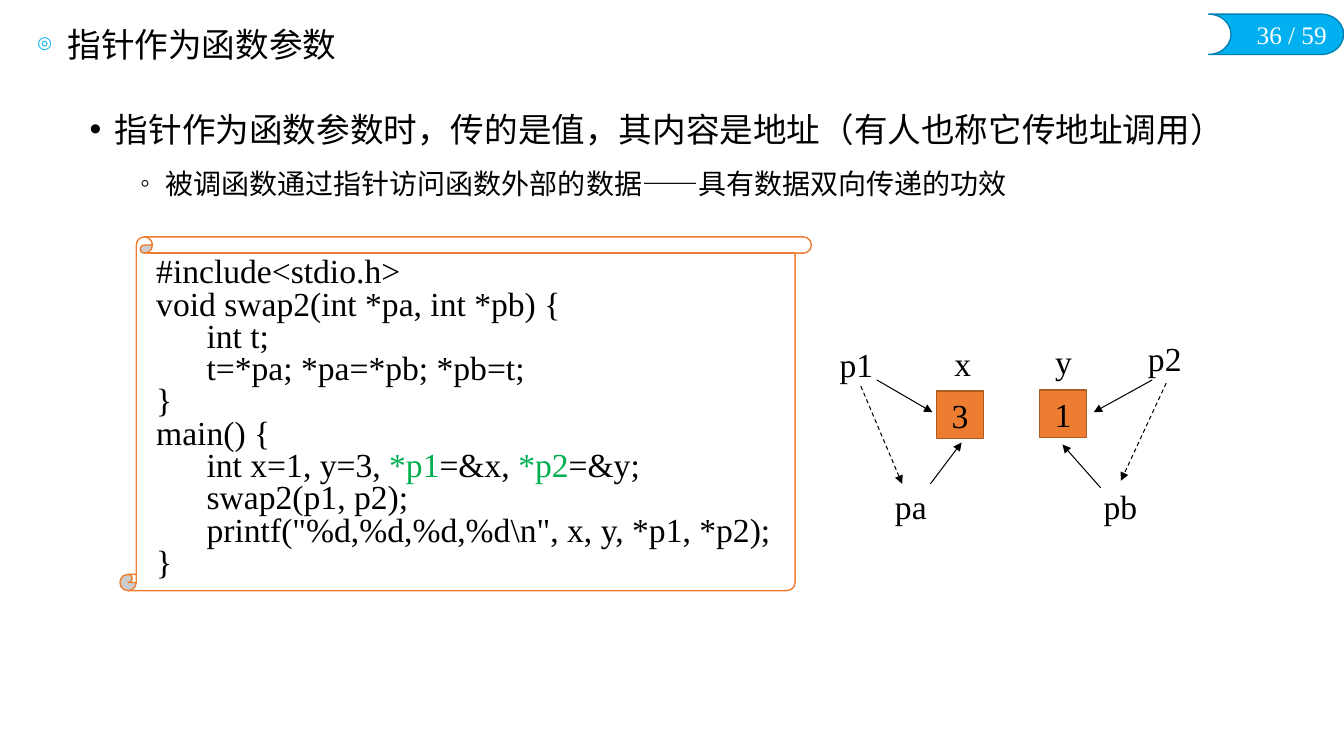
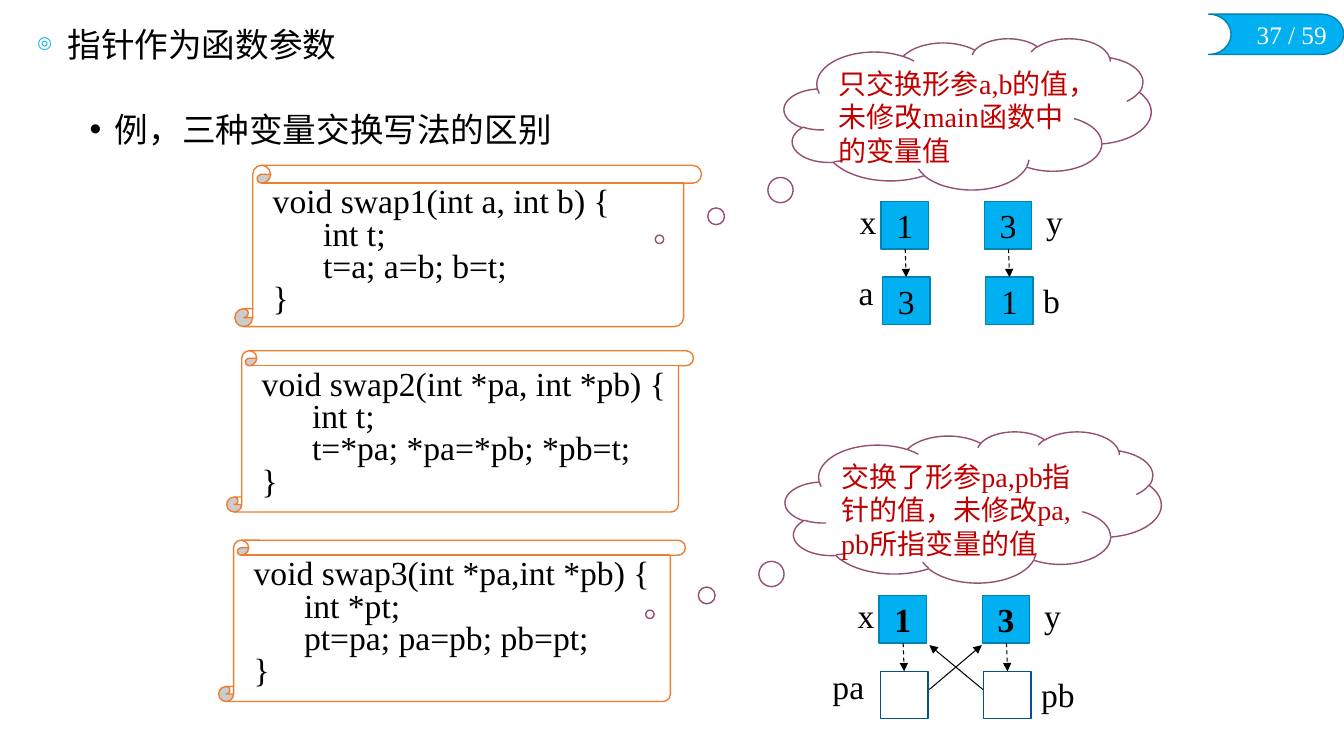
"""Build two slides on pointers as function arguments in C."""
import lxml.etree
import pptx
import pptx.dml.color
import pptx.enum.dml
import pptx.enum.shapes
import pptx.enum.text
import pptx.oxml.ns
import pptx.util

HUES = {
    "ink": "000000", "paper": "FFFFFF", "sky": "00B0F0", "sea": "0082B2",
    "navy": "00538E", "amber": "ED7D31", "rust": "AF5C24", "green": "00B050",
    "plum": "954F72", "red": "C00000",
}
FONT = "Times New Roman"
TITLE = "指针作为函数参数"
TOTAL = 59
SIDE = 4.7
FORMS = pptx.enum.shapes.MSO_SHAPE
ALIGN = pptx.enum.text.PP_ALIGN
ANCHOR = pptx.enum.text.MSO_ANCHOR
FIT = pptx.enum.text.MSO_AUTO_SIZE


def hue(name):
    """Return the colour that a name stands for."""
    return pptx.dml.color.RGBColor.from_string(HUES[name])


def grid(*cells):
    """Turn columns and rows of a tenth of an inch into lengths."""
    return [pptx.util.Inches(cell / 10) for cell in cells]


def add(node, tag, **attrs):
    """Append a drawing element to a node."""
    return lxml.etree.SubElement(node, pptx.oxml.ns.qn(tag), attrs)


def write(para, text, size=24, color="ink", accent="green", bold=None,
          align=ALIGN.LEFT, lead=None, before=0, after=0, level=0,
          margin=0, hang=0, mark=None, tint=None, scale=None, tab=None):
    """Write text in a paragraph, with every second part of a tuple accented."""
    props = para._p.get_or_add_pPr()
    left, first = grid(margin, -hang)
    props.set("marL", str(left))
    props.set("indent", str(first))
    if tint:
        add(add(props, "a:buClr"), "a:srgbClr", val=HUES[tint])
    if scale:
        add(props, "a:buSzPct", val=str(scale * 1000))
    if mark:
        add(props, "a:buChar", char=mark)
    if tab:
        add(add(props, "a:tabLst"), "a:tab", pos=str(grid(tab)[0]), algn="l")
    para.level = level
    para.alignment = align
    para.space_before = pptx.util.Pt(before)
    para.space_after = pptx.util.Pt(after)
    if lead:
        para.line_spacing = lead
    parts = text if isinstance(text, tuple) else (text,)
    for spot, part in enumerate(parts):
        run = para.add_run()
        run.text = part
        run.font.name = FONT
        run.font.size = pptx.util.Pt(size)
        run.font.bold = bold
        run.font.color.rgb = hue(accent if spot % 2 else color)


def place(shape, *cells):
    """Move and size a shape on the grid."""
    shape.left, shape.top, shape.width, shape.height = grid(*cells)


def draw(slide, form, cells, fill, edge):
    """Draw a filled, outlined preset shape."""
    shape = slide.shapes.add_shape(form, *grid(*cells))
    shape.shadow.inherit = False
    shape.fill.solid()
    shape.fill.fore_color.rgb = hue(fill)
    shape.line.color.rgb = hue(edge)
    shape.line.width = pptx.util.Pt(1)
    return shape


def label(slide, text, left, top, width=None, height=5, **style):
    """Put a short text on one line, in a box as wide as its letters need."""
    width = width or 1.9 + 1.8 * len(text)
    frame = slide.shapes.add_textbox(*grid(left, top, width, height)).text_frame
    frame.word_wrap = False
    frame.auto_size = FIT.SHAPE_TO_FIT_TEXT
    write(frame.paragraphs[0], text, **style)


def box(slide, text, left, top, fill="sky", edge="sea", bold=None):
    """Draw a memory cell with its value."""
    shape = draw(slide, FORMS.RECTANGLE, (left, top, SIDE, SIDE), fill, edge)
    if text:
        frame = shape.text_frame
        frame.word_wrap = False
        frame.vertical_anchor = ANCHOR.MIDDLE
        write(frame.paragraphs[0], text, bold=bold, align=ALIGN.CENTER)


def arrow(slide, start, end, dash=False):
    """Draw a thin arrow, dashed on request."""
    kind = pptx.enum.shapes.MSO_CONNECTOR.STRAIGHT
    line = slide.shapes.add_connector(kind, *grid(*start, *end))
    line.line.color.rgb = hue("ink")
    line.line.width = pptx.util.Pt(0.75)
    if dash:
        line.line.dash_style = pptx.enum.dml.MSO_LINE.DASH
    props = line.element.spPr
    add(props.find(pptx.oxml.ns.qn("a:ln")), "a:tailEnd", type="triangle")
    add(props, "a:effectLst")


def scroll(slide, cells, curl, lines):
    """Draw a scroll that holds code."""
    shape = draw(slide, FORMS.VERTICAL_SCROLL, cells, "paper", "amber")
    shape.adjustments[0] = curl
    frame = shape.text_frame
    frame.word_wrap = True
    frame.vertical_anchor = ANCHOR.TOP
    for spot, line in enumerate(lines):
        para = frame.add_paragraph() if spot else frame.paragraphs[0]
        write(para, line, lead=0.8, level=1, margin=1, tab=4.9)


def cloud(slide, cells, tail, text):
    """Draw a thought cloud with a remark."""
    shape = draw(slide, FORMS.CLOUD_CALLOUT, cells, "paper", "plum")
    for spot, share in enumerate(tail):
        shape.adjustments[spot] = share
    frame = shape.text_frame
    frame.word_wrap = True
    frame.vertical_anchor = ANCHOR.TOP
    frame.margin_left, frame.margin_right = grid(0.4, 0.4)
    write(frame.paragraphs[0], text, size=20, color="red")


def swap(slide, left, top, names, shift, low, bold=None):
    """Draw x and y above the two parameters that stand for them."""
    fill, edge, values = low
    right = left + 10.25
    label(slide, "x", left - 3.1, top - 0.6)
    label(slide, "y", left + 15.4, top - 0.6)
    label(slide, names[0], left - shift, top + 6.5)
    label(slide, names[1], left + 15.1, top + 7.3)
    for side, value, under in zip((left, right), ("1", "3"), values):
        box(slide, value, side, top, bold=bold)
        box(slide, under, side + 0.15, top + 7.5, fill, edge)
        arrow(slide, (side + 2.4, top + SIDE), (side + 2.5, top + 7.5), True)


def page(deck, number, points):
    """Add a slide with title, list and page band."""
    slide = deck.slides.add_slide(deck.slide_layouts[1])
    band = draw(slide, FORMS.FLOWCHART_STORED_DATA, (119.9, 1.4, 13.4, 4), "sky", "sea")
    band.rotation = 180
    label(slide, f"{number} / {TOTAL}", 123.1, 1.4, 9.5, 4,
          size=18, color="paper", align=ALIGN.RIGHT)
    title, body = slide.placeholders
    place(title, 2.7, 2.3, 63.7, 4.6)
    place(body, 7.9, 10.3, 117.1, 60.7)
    for holder in (title, body):
        holder.text_frame.auto_size = FIT.NONE
        holder.text_frame.word_wrap = True
    title.text_frame.vertical_anchor = ANCHOR.MIDDLE
    write(title.text_frame.paragraphs[0], TITLE, lead=0.9, margin=3, hang=3,
          mark="◎", tint="sky", scale=50)
    frame = body.text_frame
    for level, text in enumerate(points):
        para = frame.add_paragraph() if level else frame.paragraphs[0]
        write(para, text, size=24 - 4 * level, level=level, mark="•◦"[level],
              margin=2.5 + 5 * level, hang=2.5, before=6 * level, after=6)
    return slide


def calls(deck):
    """Add the slide on passing addresses."""
    slide = page(deck, 36, (
        "指针作为函数参数时，传的是值，其内容是地址（有人也称它传地址调用）",
        "被调函数通过指针访问函数外部的数据——具有数据双向传递的功效",
    ))
    scroll(slide, (11.9, 23.5, 68.6, 35.1), 0.046, (
        "#include<stdio.h>",
        "void swap2(int *pa, int *pb) {",
        "\tint t;",
        "\tt=*pa; *pa=*pb; *pb=t;",
        "}",
        "main() {",
        ("\tint x=1, y=3, ", "*p1", "=&x, ", "*p2", "=&y;"),
        "\tswap2(p1, p2);",
        "\tprintf(\"%d,%d,%d,%d\\n\", x, y, *p1, *p2);",
        "}",
    ))
    for name, left, top in (
            ("x", 93.7, 33.5), ("y", 103.7, 33.3), ("p1", 82.3, 33.6),
            ("p2", 112.9, 33), ("pa", 87.8, 47.7), ("pb", 108.5, 47.7)):
        label(slide, name, left, top)
    for start, end, dash in (
            ((87, 37.7), (92.5, 40.9), False),
            ((114.3, 37.7), (108.5, 40.9), False),
            ((85.4, 38.3), (89.5, 48), True),
            ((115.7, 38), (111.2, 47.7), True),
            ((92.3, 48), (95.4, 43.9), False),
            ((109.2, 48.4), (105.4, 44.1), False)):
        arrow(slide, start, end, dash)
    box(slide, "3", 92.9, 38.8, "amber", "rust")
    box(slide, "1", 103.1, 38.7, "amber", "rust")


def swaps(deck):
    """Add the slide that compares three swaps."""
    slide = page(deck, 37, ("例，三种变量交换写法的区别",))
    codes = (
        (16.4, 0.111, "void swap1(int a, int b) {", "int t;", "t=a; a=b; b=t;"),
        (34.8, 0.093, "void swap2(int *pa, int *pb) {", "int t;",
         "t=*pa; *pa=*pb; *pb=t;"),
        (53.6, 0.093, "void swap3(int *pa,int *pb) {", "int *pt;",
         "pt=pa; pa=pb; pb=pt;"),
    )
    for row, (top, curl, head, local, steps) in enumerate(codes):
        scroll(slide, (23.3 - 0.8 * row, top, 46.3, 16), curl,
               (head, "\t" + local, "\t" + steps, "}"))
    cloud(slide, (77.8, 3.8, 36.4, 15), (-0.84, 0.83),
          "只交换形参a,b的值，未修改main函数中的变量值")
    swap(slide, 87.4, 20, ("a", "b"), 3.2, ("sky", "sea", ("3", "1")))
    cloud(slide, (77.9, 42.8, 37.3, 15), (-0.86, 0.71),
          "交换了形参pa,pb指针的值，未修改pa, pb所指变量的值")
    swap(slide, 87.2, 59.1, ("pa", "pb"), 5.6, ("paper", "navy", ("", "")), True)
    arrow(slide, (92.2, 68.4), (97.4, 64))
    arrow(slide, (97.5, 68.4), (92.2, 64))


def main():
    """Build and save the deck."""
    deck = pptx.Presentation()
    deck.slide_width, deck.slide_height = grid(133.33, 75)
    calls(deck)
    swaps(deck)
    deck.save("out.pptx")


if __name__ == "__main__":
    main()
